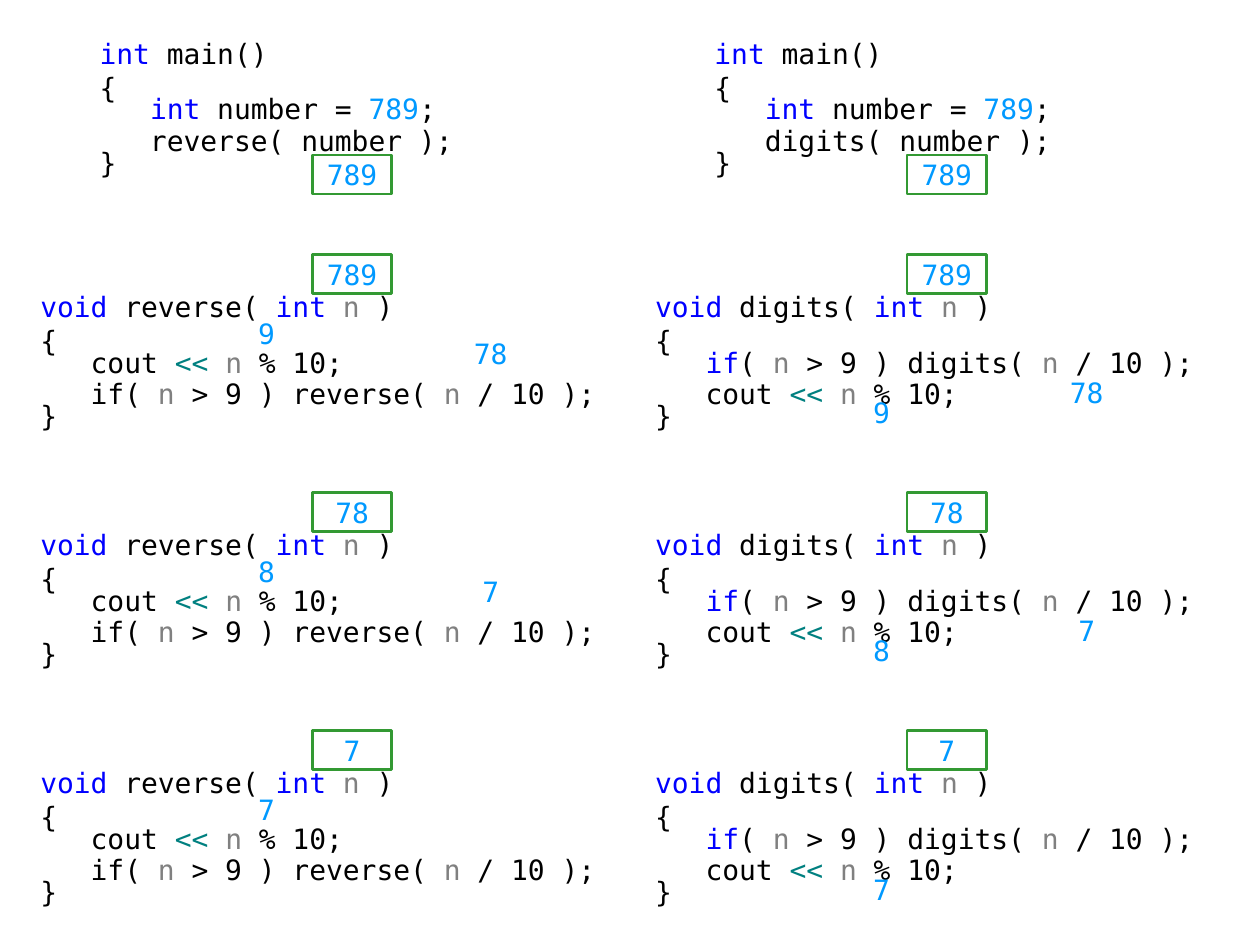
import pptx
import pptx.dml.color
import pptx.enum.shapes
import pptx.enum.text
import pptx.oxml
import pptx.oxml.ns
import pptx.util

THEME = {
    "font": "DejaVu Sans Mono", "size": 16, "border": 1.5,
    "plain": "000000", "keyword": "0000FF", "operator": "008080",
    "parameter": "808080", "value": "0099FF", "frame": "339933",
}
ROLES = {"void": "keyword", "int": "keyword", "if": "keyword",
         "<<": "operator", "n": "parameter", "789": "value"}

deck = pptx.Presentation()
deck.slide_width = pptx.util.Inches(10)
deck.slide_height = pptx.util.Inches(7.5)
COLUMN = deck.slide_width / 100
ROW = deck.slide_height / 75
CALL_STEP = 18.9  # rows from one call to the next

page = deck.slides.add_slide(deck.slide_layouts[3])
title, *main_bodies = page.placeholders
title.element.getparent().remove(title.element)


def grid(left, top, width, height):
    return [round(n * unit) for n, unit in
            zip((left, top, width, height), (COLUMN, ROW, COLUMN, ROW))]


def write(box, text, color="plain", insets=(0.1, 0, 0.1, 0), centered=False):
    """Fill box with lines of text; words between backticks take their role's colour."""
    frame = box.text_frame
    frame.auto_size = pptx.enum.text.MSO_AUTO_SIZE.NONE
    frame.word_wrap = not centered
    (frame.margin_left, frame.margin_top,
     frame.margin_right, frame.margin_bottom) = map(pptx.util.Inches, insets)
    frame.vertical_anchor = (pptx.enum.text.MSO_ANCHOR.MIDDLE if centered
                             else pptx.enum.text.MSO_ANCHOR.TOP)
    for number, line in enumerate(text.split("\n")):
        para = frame.paragraphs[0] if number == 0 else frame.add_paragraph()
        tight = number in (2, 4)
        para.line_spacing = 0.5 if tight else 1.0
        para.space_before = pptx.util.Pt(1.6 if tight else 0)
        para.alignment = (pptx.enum.text.PP_ALIGN.CENTER if centered
                          else pptx.enum.text.PP_ALIGN.LEFT)
        properties = para._p.get_or_add_pPr()
        properties.set("marL", "0")
        properties.set("indent", "0")
        properties.append(pptx.oxml.parse_xml(
            f'<a:buNone {pptx.oxml.ns.nsdecls("a")}/>'))
        for index, piece in enumerate(line.split("`")):
            if not piece:
                continue
            span = para.add_run()
            span.text = piece
            span.font.name = THEME["font"]
            span.font.size = pptx.util.Pt(THEME["size"])
            role = ROLES[piece.strip()] if index % 2 else color
            span.font.color.rgb = pptx.dml.color.RGBColor.from_string(THEME[role])


PRINT_LINE = "   cout `<< ``n` % 10;"
# Each program: its name, left edges in columns, tops in rows within the first call.
programs = [
    {"name": "reverse", "main": 7.5, "call": 2.8, "frame": 24.8,
     "digit": (20.1, 24.9), "rest": (35.8, 26.5),
     "body": [PRINT_LINE, "   if( `n` > 9 ) reverse( `n` / 10 );"]},
    {"name": "digits", "main": 56.3, "call": 51.6, "frame": 72,
     "digit": (68.9, 31.2), "rest": (83.1, 29.6),
     "body": ["   `if`( `n` > 9 ) digits( `n` / 10 );", PRINT_LINE]},
]
arguments = ["789", "78", "7"]

for program, main_body in zip(programs, main_bodies):
    name = program["name"]
    main_body.left, main_body.top, main_body.width, main_body.height = grid(
        program["main"], 2.9, 40.9, 11)
    write(main_body, "\n".join(["`int` main()", "{", "   `int` number = `789`;",
                                f"   {name}( number );", "}"]),
          insets=(0.04, 0, 0.1, 0.05))

    for level in range(len(arguments)):
        call = page.shapes.add_textbox(
            *grid(program["call"], 21.8 + level * CALL_STEP, 45.7, 12.6))
        write(call, "\n".join([f"`void` {name}( `int ``n` )", "{", *program["body"], "}"]),
              insets=(0.04, 0.12, 0.04, 0.05))

    framed = [(12.3, "789")] + [(20.2 + level * CALL_STEP, argument)
                                for level, argument in enumerate(arguments)]
    for top, argument in framed:
        box = page.shapes.add_shape(pptx.enum.shapes.MSO_SHAPE.RECTANGLE,
                                    *grid(program["frame"], top, 6.3, 3.1))
        box.shadow.inherit = False
        box.fill.background()
        box.line.color.rgb = pptx.dml.color.RGBColor.from_string(THEME["frame"])
        box.line.width = pptx.util.Pt(THEME["border"])
        write(box, argument, color="value", centered=True)

    for level, argument in enumerate(arguments):
        shift = level * CALL_STEP
        left, top = program["digit"]
        digit = page.shapes.add_textbox(*grid(left, top + shift, 3.1, 3.1))
        write(digit, argument[-1], color="value", insets=(0, 0, 0.1, 0), centered=True)
        if len(argument) > 1:
            left, top = program["rest"]
            rest = page.shapes.add_textbox(*grid(left, top + shift, 6.3, 3.1))
            write(rest, argument[:-1], color="value", centered=True)

deck.save("out.pptx")
